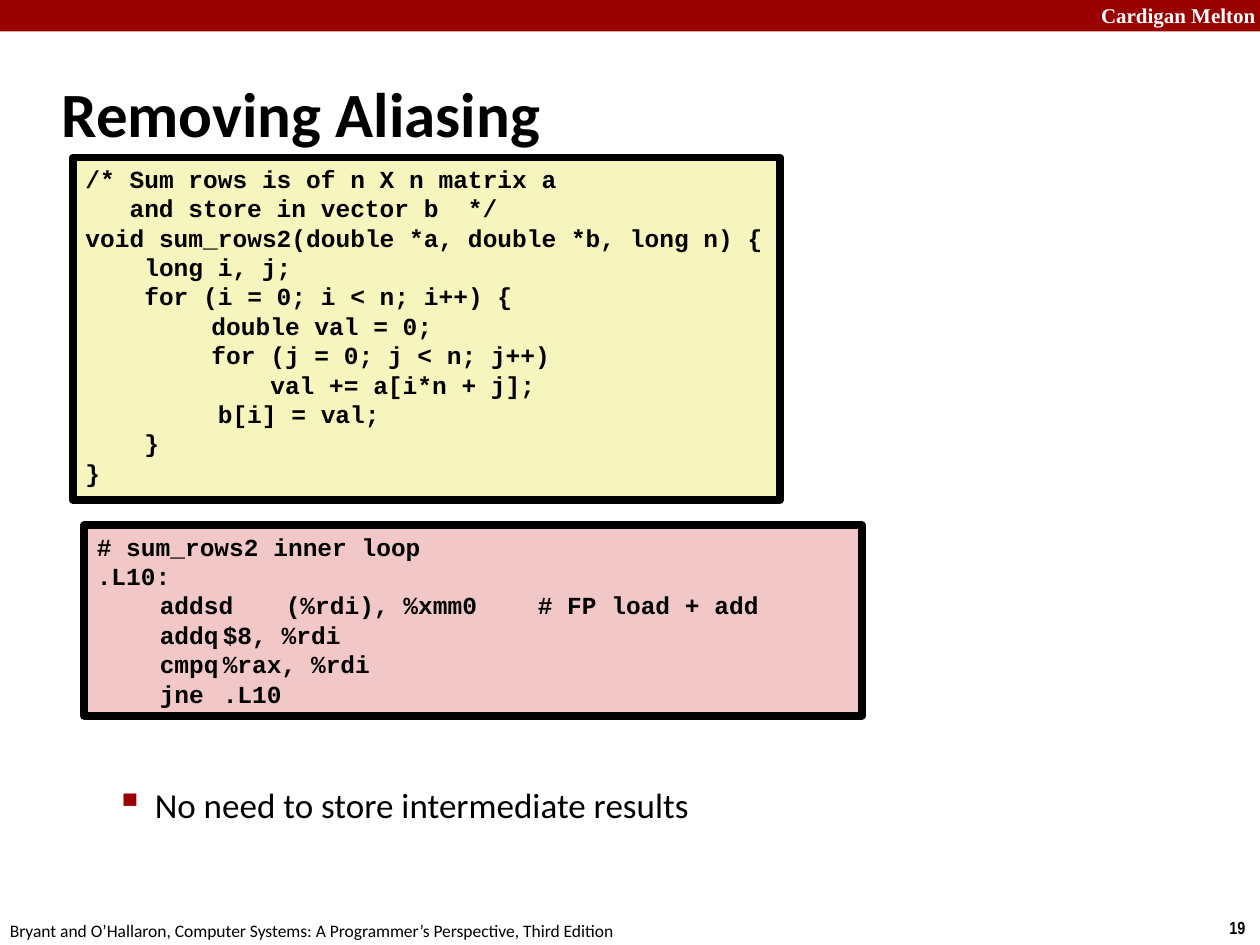
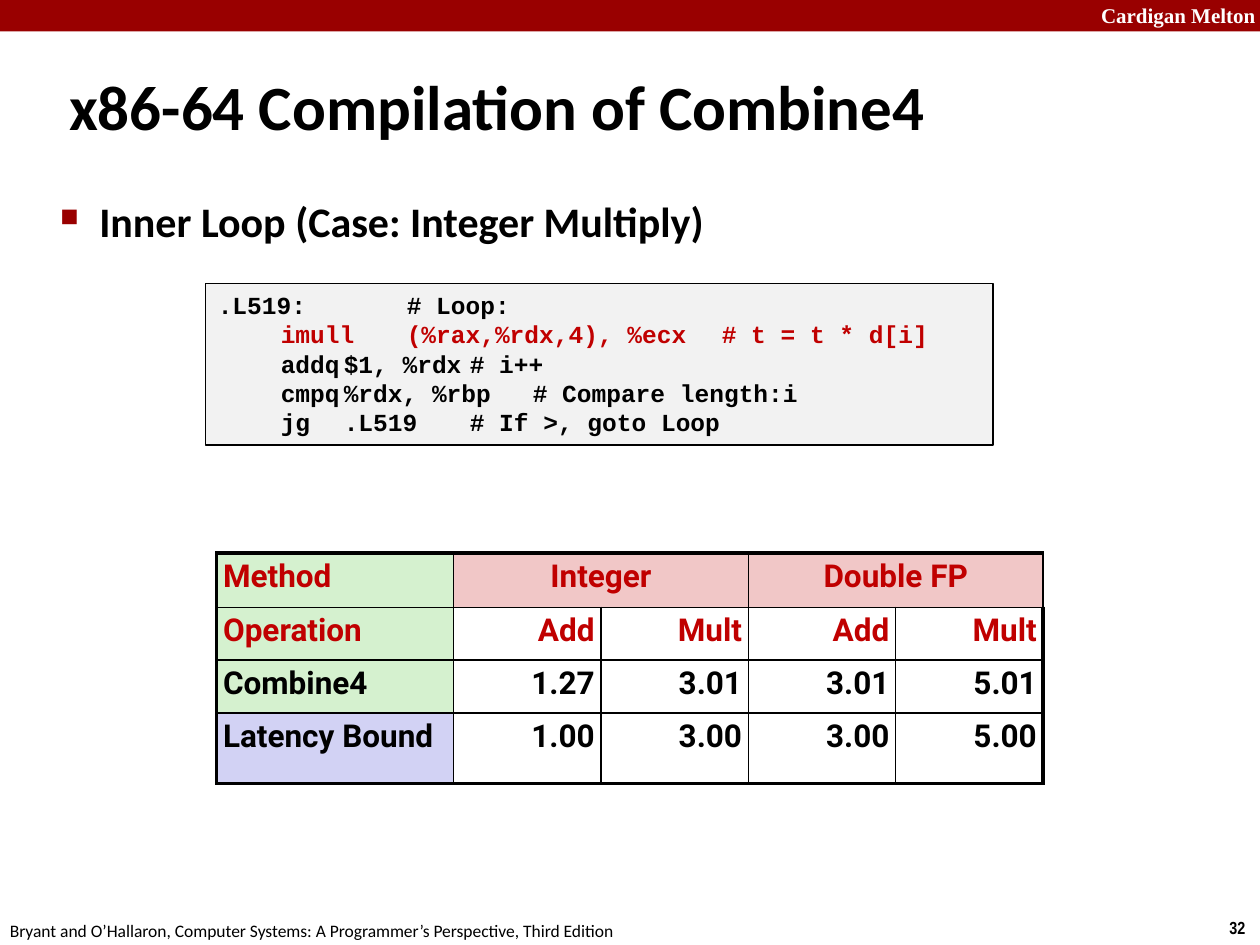
from lxml import etree
from pptx import Presentation
from pptx import util as u
from pptx.dml import color
from pptx.enum import shapes, text
from pptx.oxml import ns

IN = u.Inches
BLACK, WHITE, BAND, RED = "000000", "FFFFFF", "990000", "C00000"
YELLOW, PINK, GREY = "F6F5BD", "F1C7C7", "F2F2F2"
GREEN, BLUE = "D5F1CF", "D2D2F4"
BODY, CODE, GRID = "Calibri", "Courier New", "Roboto"
ORG = "Cardigan Melton"
BOOK = ("Bryant and O’Hallaron, Computer Systems: "
        "A Programmer’s Perspective, Third Edition")
CHAR = 0.1167  # width in inches of one 14 pt code character
LEFT, MID, RIGHT = text.PP_ALIGN.LEFT, text.PP_ALIGN.CENTER, text.PP_ALIGN.RIGHT


def rgb(code):
    """Turn a hex string into a colour."""
    return color.RGBColor.from_string(code)


def tag(parent, name, **attrs):
    """Append a drawing element to an XML parent."""
    item = etree.SubElement(parent, ns.qn("a:" + name))
    for key, val in attrs.items():
        item.set(key, str(val))
    return item


def style(para, face, size, ink=BLACK, bold=True):
    """Set the font of a paragraph."""
    font = para.font
    font.name, font.size, font.bold = face, u.Pt(size), bold
    font.color.rgb = rgb(ink)


def label(slide, box, words, face, size, ink=BLACK, bold=True, wrap=False):
    """Place one line of text and return its frame."""
    frame = slide.shapes.add_textbox(*map(IN, box)).text_frame
    frame.word_wrap = wrap
    frame.text = words
    style(frame.paragraphs[0], face, size, ink, bold)
    return frame


def block(slide, box, fill, line=None):
    """Place a filled rectangle, outlined if a line width is given."""
    rect = slide.shapes.add_shape(shapes.MSO_SHAPE.RECTANGLE, *map(IN, box))
    rect.shadow.inherit = False
    rect.fill.solid()
    rect.fill.fore_color.rgb = rgb(fill)
    if line:
        rect.line.color.rgb = rgb(BLACK)
        rect.line.width = u.Pt(line)
    else:
        rect.line.fill.background()
    return rect


def page(deck, number, title, box):
    """Add a slide with its band, footer, number and title."""
    slide = deck.slides.add_slide(deck.slide_layouts[6])
    block(slide, (0, 0, 10, 0.25), BAND)
    label(slide, (8.64, -0.03, 1.43, 0.3), ORG, "Times New Roman", 12, WHITE)
    label(slide, (9.66, 7.23, 0.34, 0.27), str(number), "Arial Narrow", 10)
    label(slide, (-0.02, 7.25, 5.08, 0.27), BOOK, BODY, 10, bold=False)
    head = label(slide, box, title, BODY, 36, wrap=True)
    head.vertical_anchor = text.MSO_ANCHOR.MIDDLE
    return slide


def bullet(slide, box, words, size, margin, mark, scale, bold):
    """Place a bulleted line with a hanging indent."""
    frame = label(slide, box, words, BODY, size, bold=bold, wrap=True)
    props = frame.paragraphs[0]._p.get_or_add_pPr()
    props.set("marL", str(IN(margin)))
    props.set("indent", str(IN(-0.31)))
    tag(tag(props, "buClr"), "srgbClr", val=BAND)
    tag(props, "buSzPct", val=scale * 1000)
    tag(props, "buChar", char=mark)


def code(slide, box, fill, line, rows, stops=()):
    """Place a code box; each row is (indent in characters, words, ink)."""
    frame = block(slide, box, fill, line).text_frame
    frame.word_wrap = True
    frame.vertical_anchor = text.MSO_ANCHOR.TOP
    for i, (depth, words, ink) in enumerate(rows):
        para = frame.add_paragraph() if i else frame.paragraphs[0]
        para.text = words
        para.alignment = LEFT
        style(para, CODE, 14, ink)
        props = para._p.get_or_add_pPr()
        props.set("marL", str(IN(depth * CHAR)))
        props.set("indent", "0")
        if stops:
            tabs = tag(props, "tabLst")
            for stop in stops:
                tag(tabs, "tab", pos=IN(stop), algn="l")


def edge(cell, side, width):
    """Draw one black border of a cell."""
    line = tag(cell._tc.get_or_add_tcPr(), "ln" + side, w=u.Pt(width))
    tag(tag(line, "solidFill"), "srgbClr", val=BLACK)


def grid(slide, box, widths, heights, rows):
    """Place the timing table with a thick outer frame."""
    high, wide = len(heights), len(widths)
    table = slide.shapes.add_table(high, wide, *map(IN, box)).table
    table.first_row = table.horz_banding = False
    for col, width in zip(table.columns, widths):
        col.width = IN(width)
    for row, height in zip(table.rows, heights):
        row.height = IN(height)
    for r in range(high):
        for c in range(wide):
            cell = table.cell(r, c)
            for side, outer in (("L", c == 0), ("R", c == wide - 1),
                                ("T", r == 0), ("B", r == high - 1)):
                edge(cell, side, 2.25 if outer else 1)
            cell.margin_left = cell.margin_right = IN(0.05)
            cell.margin_top = cell.margin_bottom = IN(0.05)
            if c and r:
                cell.fill.background()
            else:
                cell.fill.solid()
                fill = PINK if c else BLUE if r == high - 1 else GREEN
                cell.fill.fore_color.rgb = rgb(fill)
            if rows[r][c]:
                cell.text = rows[r][c]
                para = cell.text_frame.paragraphs[0]
                para.alignment = LEFT if c == 0 else RIGHT if r else MID
                para.line_spacing = 0.95
                style(para, GRID, 18, RED if r < 2 else BLACK)
    for c in (1, 3):
        table.cell(0, c).merge(table.cell(0, c + 1))


def alias(deck):
    """Build the slide on removing aliasing."""
    slide = page(deck, 19, "Removing Aliasing", (0.39, 0.48, 8.3, 0.83))
    bullet(slide, (0.32, 6.17, 9.09, 0.88),
           "No need to store intermediate results", 20, 0.81, "▪", 110, False)
    loop = ["# sum_rows2 inner loop", ".L10:",
            "\taddsd\t(%rdi), %xmm0\t# FP load + add",
            "\taddq\t$8, %rdi", "\tcmpq\t%rax, %rdi", "\tjne\t.L10"]
    code(slide, (0.67, 4.17, 6.17, 1.51), PINK, 4.5,
         [(0, words, BLACK) for words in loop], (0.93, 1.87, 4))
    tab = 1 / CHAR
    func = [(0, "/* Sum rows is of n X n matrix a"),
            (3, "and store in vector b  */"),
            (0, "void sum_rows2(double *a, double *b, long n) {"),
            (4, "long i, j;"),
            (4, "for (i = 0; i < n; i++) {"),
            (tab, "double val = 0;"),
            (tab, "for (j = 0; j < n; j++)"),
            (tab + 4, "val += a[i*n + j];"),
            (9, "b[i] = val;"),
            (4, "}"),
            (0, "}")]
    code(slide, (0.58, 1.25, 5.61, 2.72), YELLOW, 4.5,
         [(depth, words, BLACK) for depth, words in func])


def compiled(deck):
    """Build the slide on the compiled inner loop."""
    slide = page(deck, 32, "x86-64 Compilation of Combine4",
                 (0.45, 0.42, 8.3, 0.83))
    bullet(slide, (0.38, 1.5, 9.03, 0.75),
           "Inner Loop (Case: Integer Multiply)", 24, 0.31, "■", 60, True)
    loop = [(".L519:\t\t# Loop:", BLACK),
            ("\timull\t(%rax,%rdx,4), %ecx\t# t = t * d[i]", RED),
            ("\taddq\t$1, %rdx\t# i++", BLACK),
            ("\tcmpq\t%rdx, %rbp\t# Compare length:i", BLACK),
            ("\tjg\t.L519\t# If >, goto Loop", BLACK)]
    code(slide, (1.63, 2.25, 6.25, 1.28), GREY, 1,
         [(0, words, ink) for words, ink in loop], (0.25, 1, 3.44))
    grid(slide, (1.72, 4.39, 6.56, 1.83),
         [1.88] + [1.17] * 4, [0.43, 0.42, 0.42, 0.56],
         [["Method", "Integer", "", "Double FP", ""],
          ["Operation", "Add", "Mult", "Add", "Mult"],
          ["Combine4", "1.27", "3.01", "3.01", "5.01"],
          ["Latency Bound", "1.00", "3.00", "3.00", "5.00"]])


def main():
    """Build and save the deck."""
    deck = Presentation()
    deck.slide_width, deck.slide_height = IN(10), IN(7.5)
    alias(deck)
    compiled(deck)
    deck.save("out.pptx")


main()
